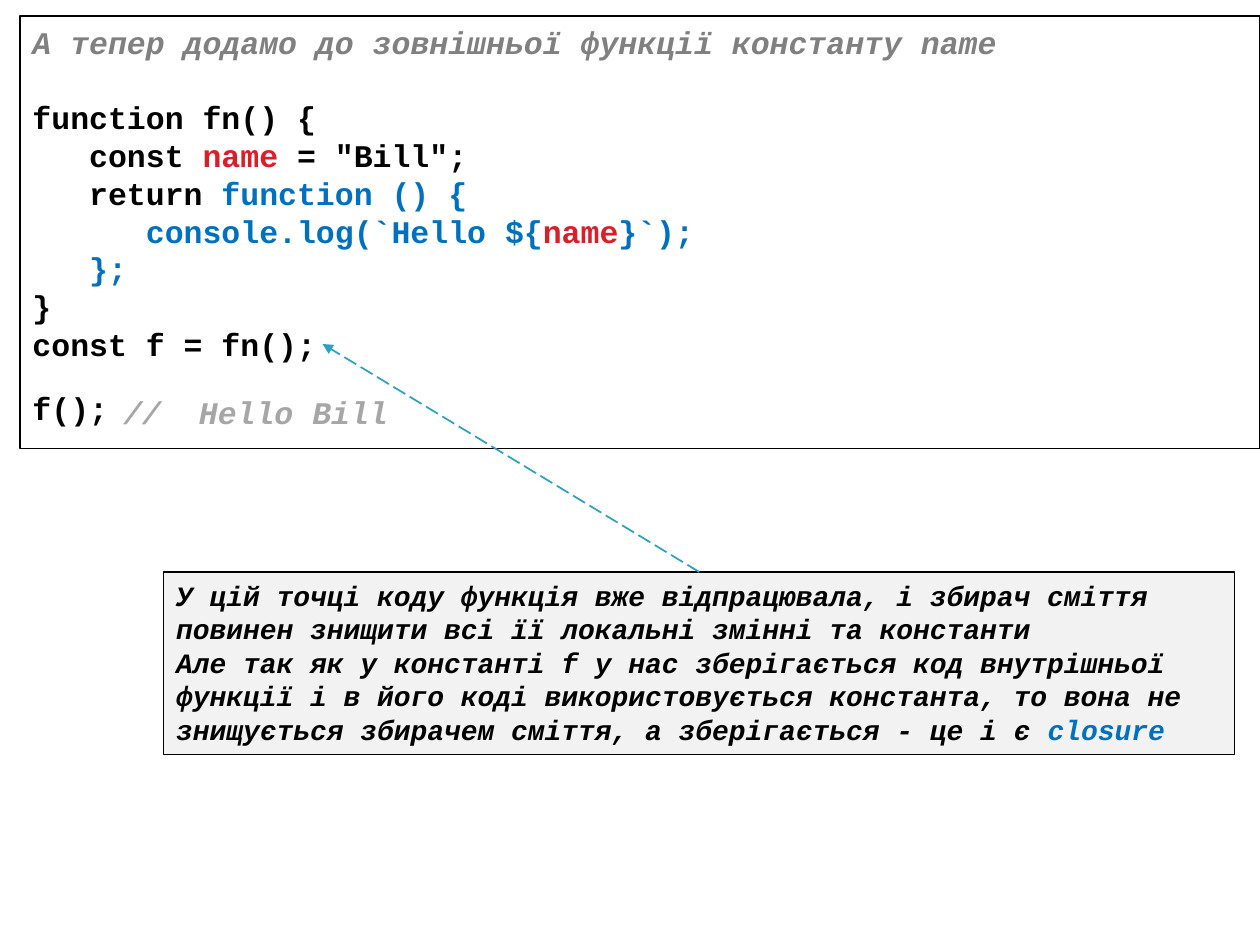
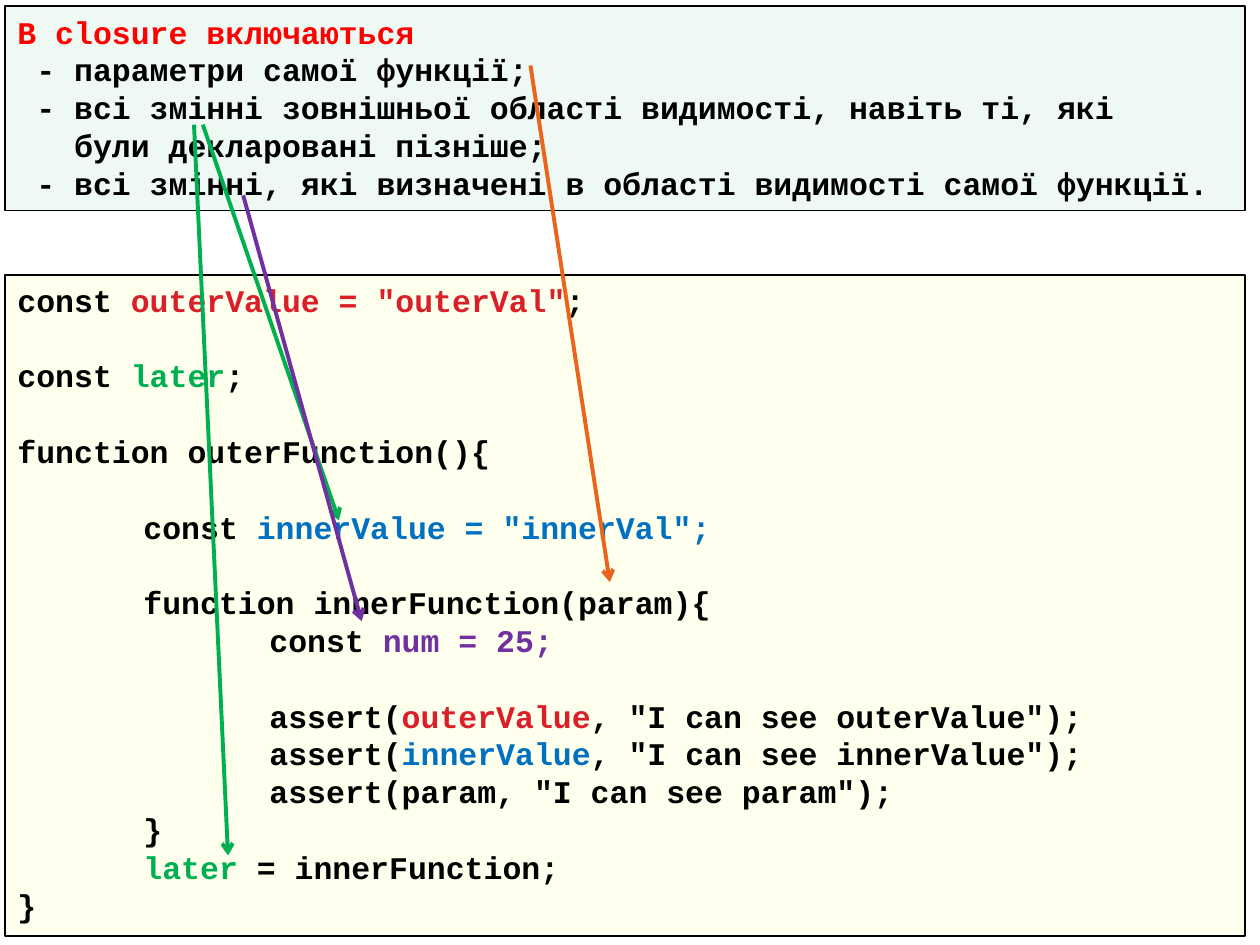
from lxml.etree import SubElement
from pptx import Presentation
from pptx.dml.color import RGBColor
from pptx.enum.dml import MSO_LINE
from pptx.enum.shapes import MSO_CONNECTOR, MSO_SHAPE
from pptx.enum.text import MSO_ANCHOR, PP_ALIGN
from pptx.oxml.ns import qn
from pptx.util import Inches, Pt

FONT = "Courier New"
BLACK, GREY, SILVER, PAPER = "000000", "808080", "A6A6A6", "F2F2F2"
RED, BRIGHT_RED, BLUE, GREEN = "DA1F28", "FF0000", "0070C0", "00B050"
YELLOW, PURPLE, ORANGE, TEAL = "FFFF00", "7030A0", "EB641B", "2DA2BF"

SLIDE_W, SLIDE_H = 10, 7.5
PANEL_W = 9.84              # full-width panels on both slides
CHAR = 0.15                 # width of one 18 pt character, inches
TAB = 1                     # code indent on the second slide, inches
BLANK_LINE = 21.6           # height of one 18 pt line, points

# A line is (indent in inches, blank lines before, runs); a run is (text, colour).
CLOSURE_CODE = [
    (0, 0, [("А тепер додамо до зовнішньої функції константу name", GREY, True)]),
    (0, 1, [("function fn() {", BLACK)]),
    (3 * CHAR, 0, [("const ", BLACK), ("name", RED), (' = "Bill";', BLACK)]),
    (3 * CHAR, 0, [("return ", BLACK), ("function () {", BLUE)]),
    (6 * CHAR, 0, [("console.log(`Hello ${", BLUE), ("name", RED), ("}`);", BLUE)]),
    (3 * CHAR, 0, [("};", BLUE)]),
    (0, 0, [("}", BLACK)]),
    (0, 0, [("const f = fn();", BLACK)]),
]
CALL = [(0, 0, [("f(); ", BLACK)])]
CALL_RESULT = [(0, 0, [("//  Hello Bill", SILVER, True)])]
NOTE = [
    (0, 0, [("У цій точці коду функція вже відпрацювала, і збирач сміття повинен "
             "знищити всі її локальні змінні та константи", BLACK, True)]),
    (0, 0, [("Але так як у константі f у нас зберігається код внутрішньої функції "
             "і в його коді використовується константа, то вона не знищується "
             "збирачем сміття, а зберігається - це і є ", BLACK, True),
            ("closure", BLUE, True)]),
]
RULES = [
    (0, 0, [("В closure включаються ", BRIGHT_RED)]),
    (CHAR, 0, [("- параметри самої функції;", BLACK)]),
    (CHAR, 0, [("- всі змінні зовнішньої області видимості, навіть ті, які", BLACK)]),
    (3 * CHAR, 0, [("були декларовані пізніше;", BLACK)]),
    (CHAR, 0, [("- всі змінні, які визначені в області видимості самої функції.", BLACK)]),
]
SCOPE_CODE = [
    (0, 0, [("const ", BLACK), ('outerValue = "outerVal"', RED), (";", BLACK)]),
    (0, 1, [("const ", BLACK), ("later", GREEN), (";", BLACK)]),
    (0, 1, [("function outerFunction(){", BLACK)]),
    (TAB, 1, [("const ", BLACK), ('innerValue = "innerVal";', BLUE)]),
    (TAB, 1, [("function innerFunction(param){", BLACK)]),
    (2 * TAB, 0, [("const ", BLACK), ("num = 25;", PURPLE)]),
    (2 * TAB, 1, [("assert(", BLACK), ("outerValue", RED),
                  (', "I can see outerValue");', BLACK)]),
    (2 * TAB, 0, [("assert(", BLACK), ("innerValue", BLUE),
                  (', "I can see innerValue");', BLACK)]),
    (2 * TAB, 0, [('assert(param, "I can see param");', BLACK)]),
    (TAB, 0, [("}", BLACK)]),
    (TAB, 0, [("later", GREEN), (" = innerFunction;", BLACK)]),
    (0, 0, [("}", BLACK)]),
]
# From each rule to the code it describes: start, end, colour.
RULE_ARROWS = [
    ((4.21, 0.52), (4.84, 4.62), ORANGE),
    ((1.61, 0.99), (2.69, 4.13), GREEN),
    ((1.54, 0.99), (1.81, 6.79), GREEN),
    ((1.93, 1.55), (2.87, 4.93), PURPLE),
]


def rgb(value):
    """Turn a hex string into a colour."""
    return RGBColor.from_string(value)


def write(sp, lines, size=18, wrap=True):
    """Write lines of coloured runs into a shape."""
    tf = sp.text_frame
    tf.word_wrap, tf.vertical_anchor = wrap, MSO_ANCHOR.TOP
    for i, (indent, blanks, runs) in enumerate(lines):
        p = tf.add_paragraph() if i else tf.paragraphs[0]
        p.alignment, p.space_before = PP_ALIGN.LEFT, Pt(blanks * BLANK_LINE)
        p._p.get_or_add_pPr().set("marL", str(Inches(indent)))
        for text, color, *italic in runs:
            r = p.add_run()
            r.text = text
            font = {"name": FONT, "size": Pt(size), "bold": True, "italic": bool(italic)}
            for key, value in font.items():
                setattr(r.font, key, value)
            r.font.color.rgb = rgb(color)


def add_panel(slide, box, lines, fill=None, opacity=100, size=18, border=1):
    """Add a bordered rectangle holding text."""
    sp = slide.shapes.add_shape(MSO_SHAPE.RECTANGLE, *map(Inches, box))
    sp.shadow.inherit = False
    sp.line.color.rgb, sp.line.width = rgb(BLACK), Pt(border)
    if fill:
        sp.fill.solid()
        sp.fill.fore_color.rgb = rgb(fill)
        if opacity < 100:
            color = sp._element.spPr.find(qn("a:solidFill"))[0]
            SubElement(color, qn("a:alpha"), val=str(opacity * 1000))
    else:
        sp.fill.background()
    write(sp, lines, size)


def add_label(slide, box, lines):
    """Add a one-line text box."""
    write(slide.shapes.add_textbox(*map(Inches, box)), lines, wrap=False)


def add_arrow(slide, start, end, color, width=2.25, head="arrow", dash=None):
    """Add a straight line with an arrowhead at its end."""
    cx = slide.shapes.add_connector(MSO_CONNECTOR.STRAIGHT, *map(Inches, start + end))
    cx.line.color.rgb, cx.line.width = rgb(color), Pt(width)
    if dash:
        cx.line.dash_style = dash
    SubElement(cx.line._get_or_add_ln(), qn("a:tailEnd"), type=head)
    SubElement(cx._element.spPr, qn("a:effectLst"))


prs = Presentation()
prs.slide_width, prs.slide_height = Inches(SLIDE_W), Inches(SLIDE_H)
blank = prs.slide_layouts[6]

# Slide 1: a closure keeps the constant alive
slide = prs.slides.add_slide(blank)
left = SLIDE_W - PANEL_W
note_x, note_y, note_w, note_h = 1.3, 4.54, 8.5, 1.45
add_panel(slide, (left, 0.13, PANEL_W, 3.43), CLOSURE_CODE)
add_panel(slide, (note_x, note_y, note_w, note_h), NOTE, PAPER, size=16, border=0.75)
add_arrow(slide, (note_x + note_w / 2, note_y), (2.56, 2.73), TEAL,
          width=1, head="triangle", dash=MSO_LINE.LONG_DASH)
add_label(slide, (left, 3.04, 0.87, 0.4), CALL)
add_label(slide, (0.88, 3.07, 2.52, 0.4), CALL_RESULT)

# Slide 2: what a closure includes
slide = prs.slides.add_slide(blank)
for top, height, lines, fill in [(0.05, 1.62, RULES, GREEN),
                                 (2.18, 5.25, SCOPE_CODE, YELLOW)]:
    add_panel(slide, (0.04, top, PANEL_W, height), lines, fill, opacity=7)
for start, end, color in RULE_ARROWS:
    add_arrow(slide, start, end, color)

prs.save("out.pptx")
